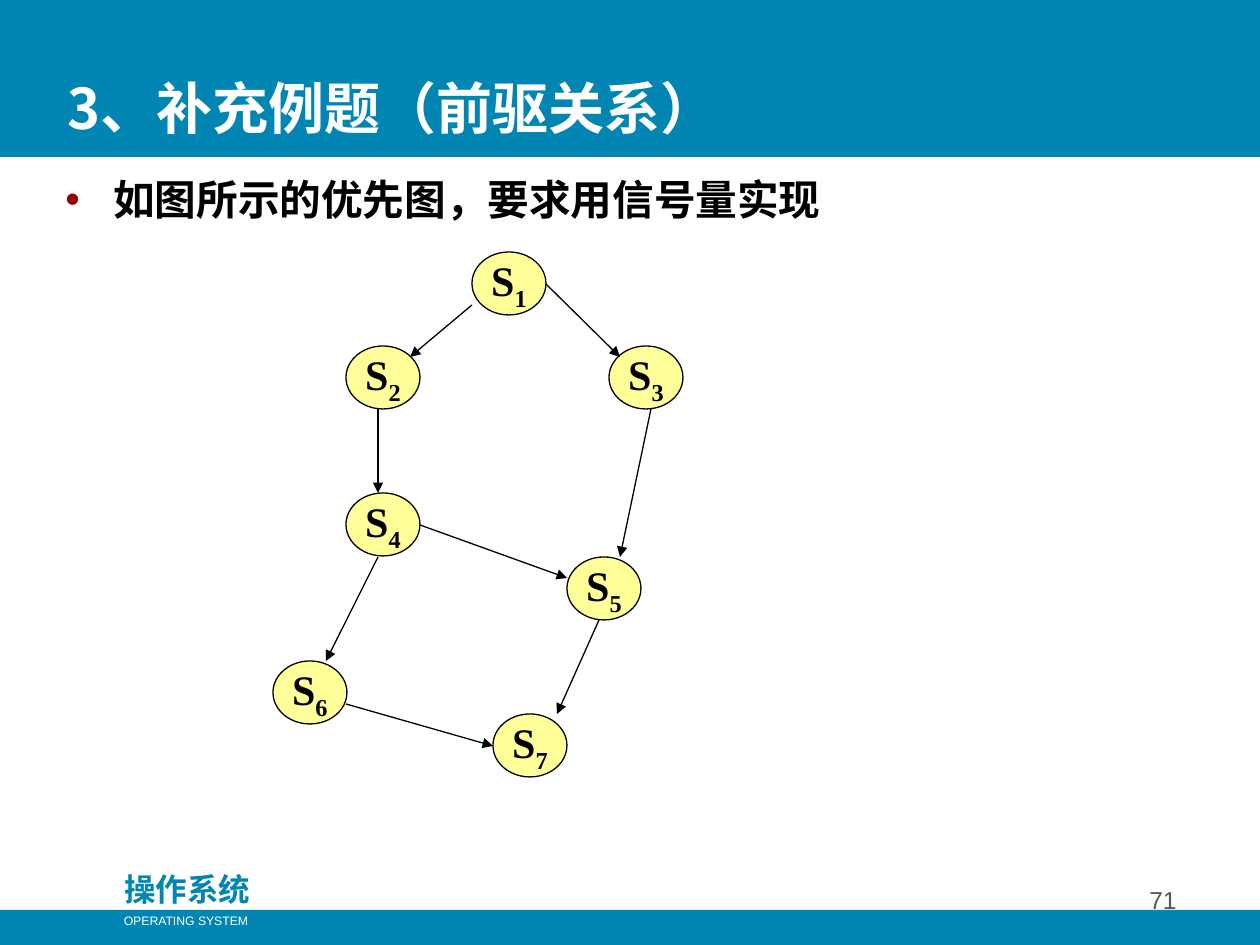
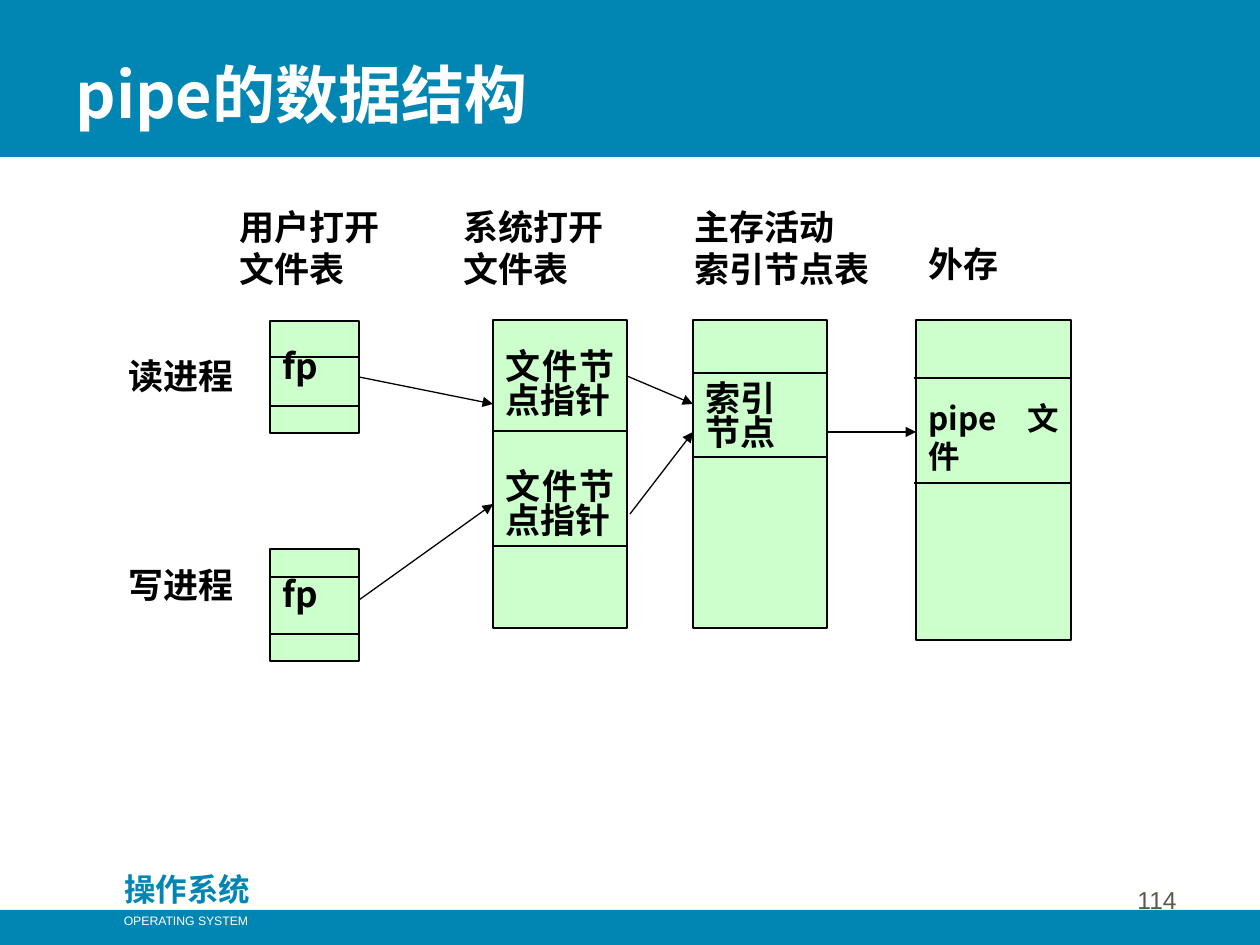
from dataclasses import dataclass

from lxml import etree
from pptx import Presentation
from pptx.dml.color import RGBColor
from pptx.enum.shapes import MSO_CONNECTOR, MSO_SHAPE
from pptx.enum.text import MSO_ANCHOR, MSO_AUTO_SIZE, PP_ALIGN
from pptx.oxml.ns import qn
from pptx.util import Emu, Pt

RECT, OVAL = MSO_SHAPE.RECTANGLE, MSO_SHAPE.OVAL
LINE = MSO_CONNECTOR.STRAIGHT
LEFT, MID, RIGHT, FULL = PP_ALIGN.LEFT, PP_ALIGN.CENTER, PP_ALIGN.RIGHT, PP_ALIGN.JUSTIFY
CENTRE, BASE = MSO_ANCHOR.MIDDLE, MSO_ANCHOR.BOTTOM
FIXED = MSO_AUTO_SIZE.NONE
TITLE_ONLY = 5
RIGHT_SIDE = 3


@dataclass(frozen=True)
class Theme:
    """Colours, fonts and type sizes of the deck."""
    blue: str = "0186B3"
    white: str = "FFFFFF"
    black: str = "000000"
    grey: str = "5E574E"
    red: str = "990000"
    yellow: str = "FFFF99"
    green: str = "CCFFCC"
    sans: str = "Noto Sans CJK SC"
    serif: str = "Times New Roman"
    plain: str = "Arial"
    body: float = 23.8
    node: int = 24
    label: int = 20
    small: int = 18
    page: int = 14
    tiny: int = 7
    rule: float = 0.75


T = Theme()


def px(num):
    """Turn px into EMU."""
    return Emu(round(num * 914400 / 126))


def put(obj, **vals):
    """Set each given value on an object."""
    for key, val in vals.items():
        setattr(obj, key, val)


def style(run, size, color=T.black, face=T.sans, bold=True):
    """Format a run in one face for all scripts."""
    put(run.font, name=face, size=Pt(size), bold=bold)
    run.font.color.rgb = RGBColor.from_string(color)
    props = run._r.get_or_add_rPr()
    etree.SubElement(props, qn("a:ea")).set("typeface", face)


def write(frame, lines, align=LEFT, space=None, **look):
    """Fill a text frame with one paragraph per line."""
    for i, line in enumerate(lines):
        para = frame.paragraphs[0] if i == 0 else frame.add_paragraph()
        put(para, alignment=align, line_spacing=space)
        run = para.add_run()
        run.text = line
        style(run, **look)


def text(slide, area, lines, align=LEFT, wrap=True, anchor=None, **look):
    """Add a text box."""
    frame = slide.shapes.add_textbox(*map(px, area)).text_frame
    put(frame, word_wrap=wrap, vertical_anchor=anchor)
    write(frame, lines, align, **look)
    return frame


def shape(slide, kind, area, fill, line=None):
    """Add a filled shape, outlined if a line colour is given."""
    item = slide.shapes.add_shape(kind, *map(px, area))
    item.shadow.inherit = False
    item.fill.solid()
    item.fill.fore_color.rgb = RGBColor.from_string(fill)
    if line:
        item.line.color.rgb = RGBColor.from_string(line)
        item.line.width = Pt(T.rule)
    else:
        item.line.fill.background()
    return item


def link(slide, ends, arrow=True):
    """Add a straight line, with an arrowhead at its end by default."""
    item = slide.shapes.add_connector(LINE, *map(px, ends))
    item.line.color.rgb = RGBColor.from_string(T.black)
    item.line.width = Pt(T.rule)
    if arrow:
        etree.SubElement(item.line._get_or_add_ln(), qn("a:tailEnd")).set("type", "triangle")
    etree.SubElement(item._element.spPr, qn("a:effectLst"))
    return item


def page(deck, head, area, size, number):
    """Add a slide with bands, title, footer and number."""
    slide = deck.slides.add_slide(deck.slide_layouts[TITLE_ONLY])
    for band in ((0, 0, 1260, 157), (0, 910, 1260, 35)):
        shape(slide, RECT, band, T.blue)
    text(slide, (105, 864, 165, 50), ["操作系统"], MID, size=T.small, color=T.blue)
    text(slide, (111, 907, 150, 28), ["OPERATING SYSTEM"], MID, False,
         size=T.tiny, color=T.white, face=T.plain, bold=False)
    text(slide, (927, 858, 262, 63), [number], RIGHT, anchor=BASE,
         size=T.page, color=T.grey, face=T.plain, bold=False)
    title = slide.shapes.title
    slide.shapes._spTree.append(title._element)
    put(title, **dict(zip(("left", "top", "width", "height"), map(px, area))))
    put(title.text_frame, word_wrap=True, auto_size=FIXED, vertical_anchor=BASE)
    write(title.text_frame, [head], size=size, color=T.white)
    return slide


def bullet(slide, area, line):
    """Add one paragraph with a red bullet."""
    frame = text(slide, area, [line], size=T.body)
    props = frame.paragraphs[0]._p.get_or_add_pPr()
    put_in = {"marL": px(48), "indent": -px(48)}
    for key, val in put_in.items():
        props.set(key, str(val))
    tint = etree.SubElement(props, qn("a:buClr"))
    etree.SubElement(tint, qn("a:srgbClr")).set("val", T.red)
    etree.SubElement(props, qn("a:buFont")).set("typeface", T.plain)
    etree.SubElement(props, qn("a:buChar")).set("char", "•")


def node(slide, left, top, index):
    """Add a graph node named S with a lowered index."""
    frame = shape(slide, OVAL, (left, top, 74, 63), T.yellow, T.black).text_frame
    put(frame, word_wrap=False, vertical_anchor=CENTRE)
    write(frame, ["S"], MID, size=T.node, face=T.serif)
    low = frame.paragraphs[0].add_run()
    low.text = str(index)
    style(low, T.node, face=T.serif)
    low._r.get_or_add_rPr().set("baseline", "-25000")


def table(slide, area, cuts, lines, inset, lap=0, align=LEFT, space=None, size=T.label):
    """Add a memory table cut into rows, with text below a top inset."""
    item = shape(slide, RECT, area, T.green, T.black)
    frame = item.text_frame
    put(frame, word_wrap=True, vertical_anchor=MSO_ANCHOR.TOP, margin_top=px(inset))
    write(frame, lines, align, space, size=size)
    left, _, width, _ = area
    for cut in cuts:
        link(slide, (left - lap, cut, left + width, cut), False)
    return item


def graph(deck):
    """Build the slide of the precedence graph."""
    slide = page(deck, "3、补充例题（前驱关系）", (55, 21, 1130, 126), 32, "71")
    bullet(slide, (53, 168, 1126, 63), "如图所示的优先图，要求用信号量实现")
    spots = ((472, 252), (346, 346), (609, 346), (346, 493),
             (567, 557), (273, 661), (493, 714))
    for index, spot in enumerate(spots, 1):
        node(slide, *spot, index)
    for ends in ((472, 305, 410, 357), (546, 284, 620, 357),
                 (378, 409, 378, 493), (651, 409, 620, 557),
                 (378, 557, 326, 661), (420, 525, 567, 578),
                 (346, 704, 493, 746), (599, 620, 557, 714)):
        link(slide, ends)


def pipe(deck):
    """Build the slide of the pipe's tables."""
    slide = page(deck, "pipe的数据结构", (63, 32, 1071, 105), 36, "114")
    for area, lines in (
            ((227, 199, 183, 112), ["用户打开", "文件表"]),
            ((451, 199, 179, 108), ["系统打开", "文件表"]),
            ((682, 199, 212, 105), ["主存活动", "索引节点表"]),
            ((916, 236, 111, 55), ["外存"]),
            ((116, 348, 136, 62), ["读进程"]),
            ((116, 557, 136, 63), ["写进程"])):
        text(slide, area, lines, size=T.label)
    reader = table(slide, (270, 321, 89, 112), (357, 406), ["fp"], 24)
    table(slide, (270, 549, 89, 112), (577, 634), ["fp"], 24)
    files = table(slide, (493, 320, 134, 308), (431, 546),
                  ["文件节点指针"] * 2, 33, align=FULL, space=0.8)
    files.text_frame.paragraphs[1].space_before = Pt(30)
    table(slide, (693, 320, 134, 308), (373, 457),
          ["索引", "节点"], 65, align=FULL, space=0.8)
    table(slide, (916, 320, 155, 320), (378, 483),
          ["pipe文件"], 79, lap=2, align=FULL, size=T.small)
    first = link(slide, (359, 377, 493, 404))
    first.begin_connect(reader, RIGHT_SIDE)
    for ends in ((359, 600, 493, 504), (627, 376, 693, 404),
                 (630, 514, 693, 432), (827, 432, 916, 432)):
        link(slide, ends)


def main():
    """Build and save the deck."""
    deck = Presentation()
    put(deck, slide_width=px(1260), slide_height=px(945))
    graph(deck)
    pipe(deck)
    deck.save("out.pptx")


if __name__ == "__main__":
    main()
